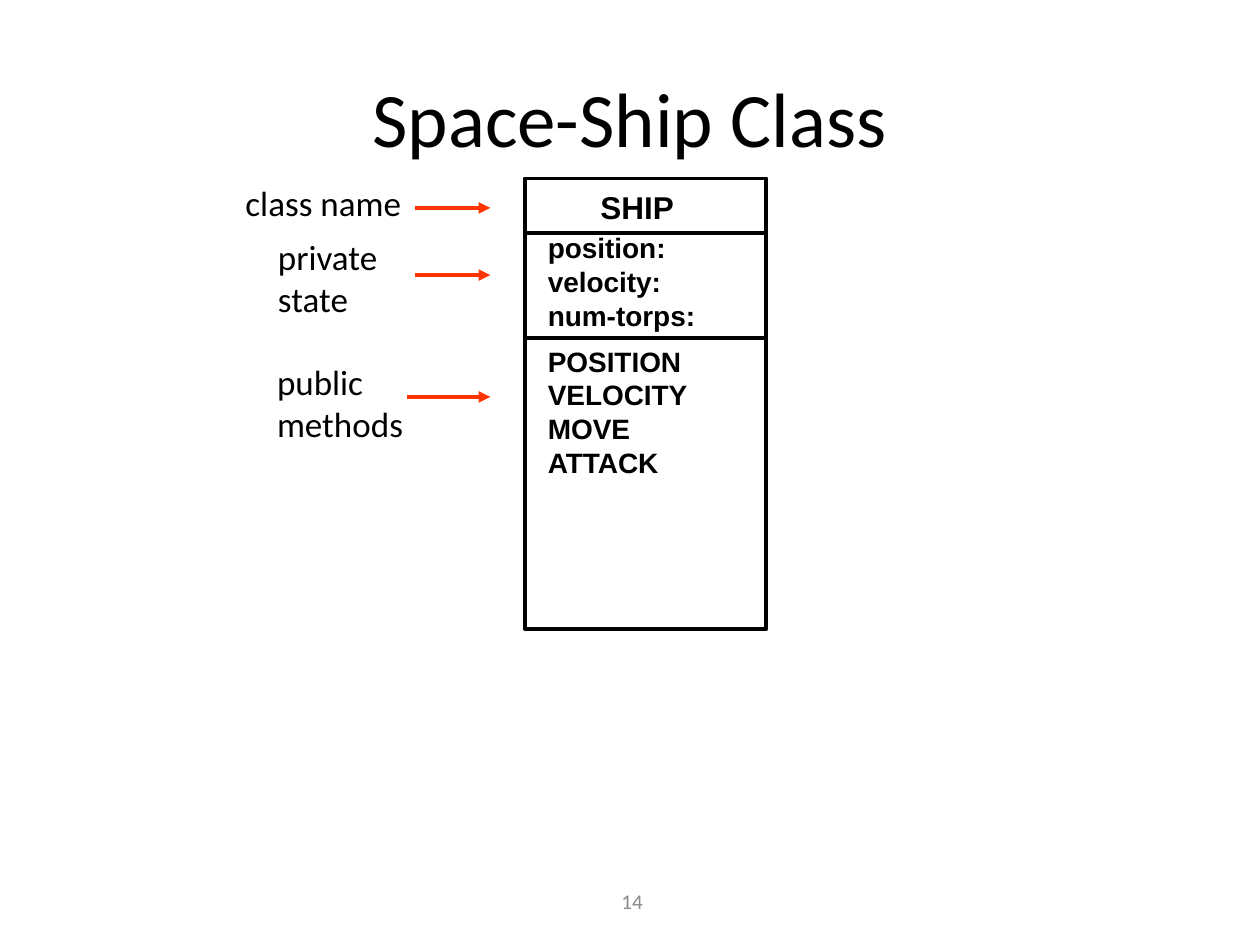
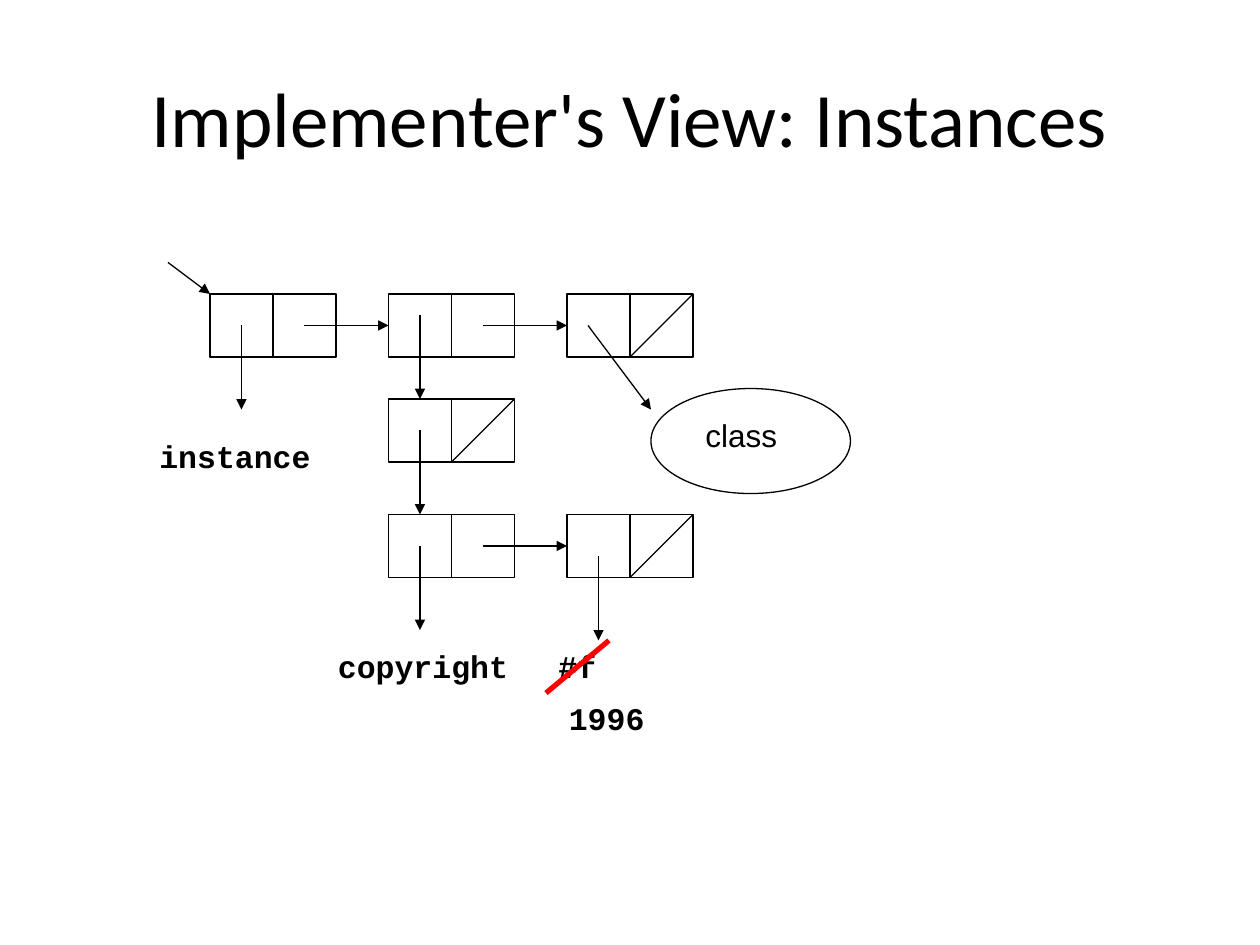
import pptx
import pptx.util
import pptx.dml.color
import pptx.enum.shapes
import pptx.enum.text
import pptx.oxml
import pptx.oxml.ns

RGBColor = pptx.dml.color.RGBColor
BLACK = RGBColor(0x00, 0x00, 0x00)
GREY = RGBColor(0x89, 0x89, 0x89)
RED = RGBColor(0xFF, 0x00, 0x00)
FLAME = RGBColor(0xFF, 0x33, 0x00)
SCALE = 7620
WIDE, HIGH = 120, 60
HALF = WIDE // 2
DROP = 80

Shape = pptx.enum.shapes.MSO_SHAPE
Anchor = pptx.enum.text.MSO_ANCHOR
Align = pptx.enum.text.PP_ALIGN


def px(*nums):
    return [pptx.util.Emu(n * SCALE) for n in nums]


class Deck:
    def __init__(self):
        self.prs = pptx.Presentation()
        self.prs.slide_width, self.prs.slide_height = px(1200, 900)
        self.slide = None

    def page(self, title):
        self.slide = self.prs.slides.add_slide(self.prs.slide_layouts[6])
        self.text(title, 60, 36, 1080, 150, "Calibri", 44, mid=True)

    def text(self, words, x, y, w, h, face, size, bold=False, color=BLACK, mid=False):
        box = self.slide.shapes.add_textbox(*px(x, y, w, h))
        frame = box.text_frame
        frame.word_wrap = True
        frame.vertical_anchor = Anchor.MIDDLE if mid else Anchor.TOP
        frame.text = words
        for para in frame.paragraphs:
            para.alignment = Align.CENTER if mid else Align.LEFT
            font = para.font
            font.name, font.size, font.bold = face, pptx.util.Pt(size), bold
            font.color.rgb = color

    def label(self, words, x, y, w=190):
        self.text(words, x, y, w, 48, "Courier New", 18, bold=True)

    def shape(self, kind, x, y, w, h, thick=0.75):
        item = self.slide.shapes.add_shape(kind, *px(x, y, w, h))
        item.shadow.inherit = False
        item.fill.background()
        item.line.color.rgb = BLACK
        item.line.width = pptx.util.Pt(thick)
        return item

    def line(self, x1, y1, x2, y2, color=BLACK, thick=0.75, head=False):
        kind = pptx.enum.shapes.MSO_CONNECTOR.STRAIGHT
        link = self.slide.shapes.add_connector(kind, *px(x1, y1, x2, y2))
        link.line.color.rgb = color
        link.line.width = pptx.util.Pt(thick)
        props = link._element.spPr
        if head:
            tip = pptx.oxml.ns.qn("a:tailEnd")
            link.line._get_or_add_ln().makeelement(tip, {})
            end = pptx.oxml.parse_xml(
                f'<a:tailEnd {pptx.oxml.ns.nsdecls("a")} type="triangle"/>')
            link.line._get_or_add_ln().append(end)
        props.append(pptx.oxml.parse_xml(
            f'<a:effectLst {pptx.oxml.ns.nsdecls("a")}/>'))
        return link

    def arrow(self, *ends, **style):
        return self.line(*ends, head=True, **style)

    def pair(self, x, y, last=False):
        cell = self.shape(Shape.RECTANGLE, x, y, WIDE, HIGH)
        split = self.line(x + HALF, y, x + HALF, y + HIGH)
        split.begin_connect(cell, 0)
        split.end_connect(cell, 2)
        if last:
            self.line(x + HALF, y + HIGH, x + WIDE, y)
        return cell

    def chain(self, spots, y):
        for x in spots:
            cell = self.pair(x, y, last=x == spots[-1])
            if x != spots[0]:
                row = y + HIGH // 2
                self.arrow(x - DROP, row, x, row).end_connect(cell, 1)

    def drop(self, x, y):
        self.arrow(x, y, x, y + DROP)


def ship(deck):
    deck.page("Space-Ship Class")
    deck.text("14", 412, 834, 380, 48, "Calibri", 12, color=GREY, mid=True)
    parts = [
        (170, 52, "SHIP", 560, 173, 18),
        (222, 100, "position:\nvelocity:\vnum-torps:", 510, 214, 16),
        (322, 277, "POSITION\nVELOCITY\nMOVE\nATTACK", 510, 322, 16),
    ]
    for top, tall, words, x, y, size in parts:
        deck.shape(Shape.RECTANGLE, 500, top, 230, tall, 2.25)
        deck.text(words, x, y, 180, tall, "Arial", size, bold=True)
    notes = [
        ("class name", 222, 167, 190, 395, 198),
        ("private state", 253, 218, 149, 395, 262),
        ("public\nmethods", 252, 337, 174, 388, 378),
    ]
    for words, x, y, w, start, row in notes:
        deck.text(words, x, y, w, 92, "Calibri", 20)
        deck.arrow(start, row, 467, row, color=FLAME, thick=2.25)


def view(deck):
    deck.page("Implementer's View: Instances")
    cols = [200 + 170 * i for i in range(3)]
    deck.chain(cols, 280)
    deck.chain(cols[1:2], 380)
    deck.chain(cols[1:], 490)
    deck.arrow(160, 250, cols[0], 280)
    for col, y in [(0, 310), (1, 300), (1, 410), (1, 520), (2, 530)]:
        deck.drop(cols[col] + HALF // 2, y)
    deck.arrow(560, 310, 620, 390)
    deck.shape(Shape.OVAL, 620, 370, 190, 100)
    deck.text("class", 660, 390, 150, 48, "Arial", 18)
    deck.label("instance", 140, 410)
    deck.label("copyright", 310, 610)
    deck.label("#f", 520, 610)
    deck.label("1996", 530, 660)
    deck.line(520, 660, 580, 610, color=RED, thick=3)


def main():
    deck = Deck()
    ship(deck)
    view(deck)
    deck.prs.save("out.pptx")


if __name__ == "__main__":
    main()
